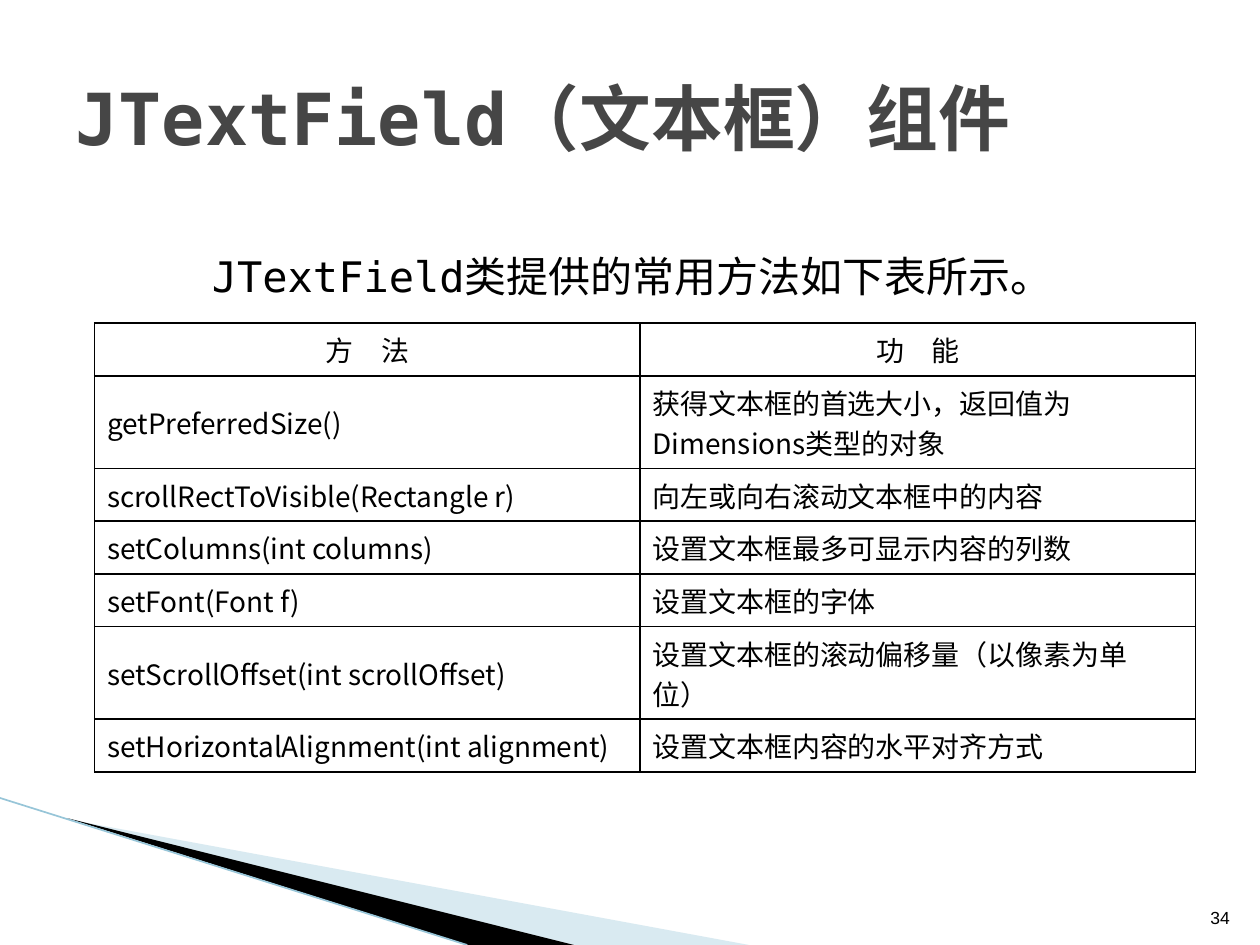
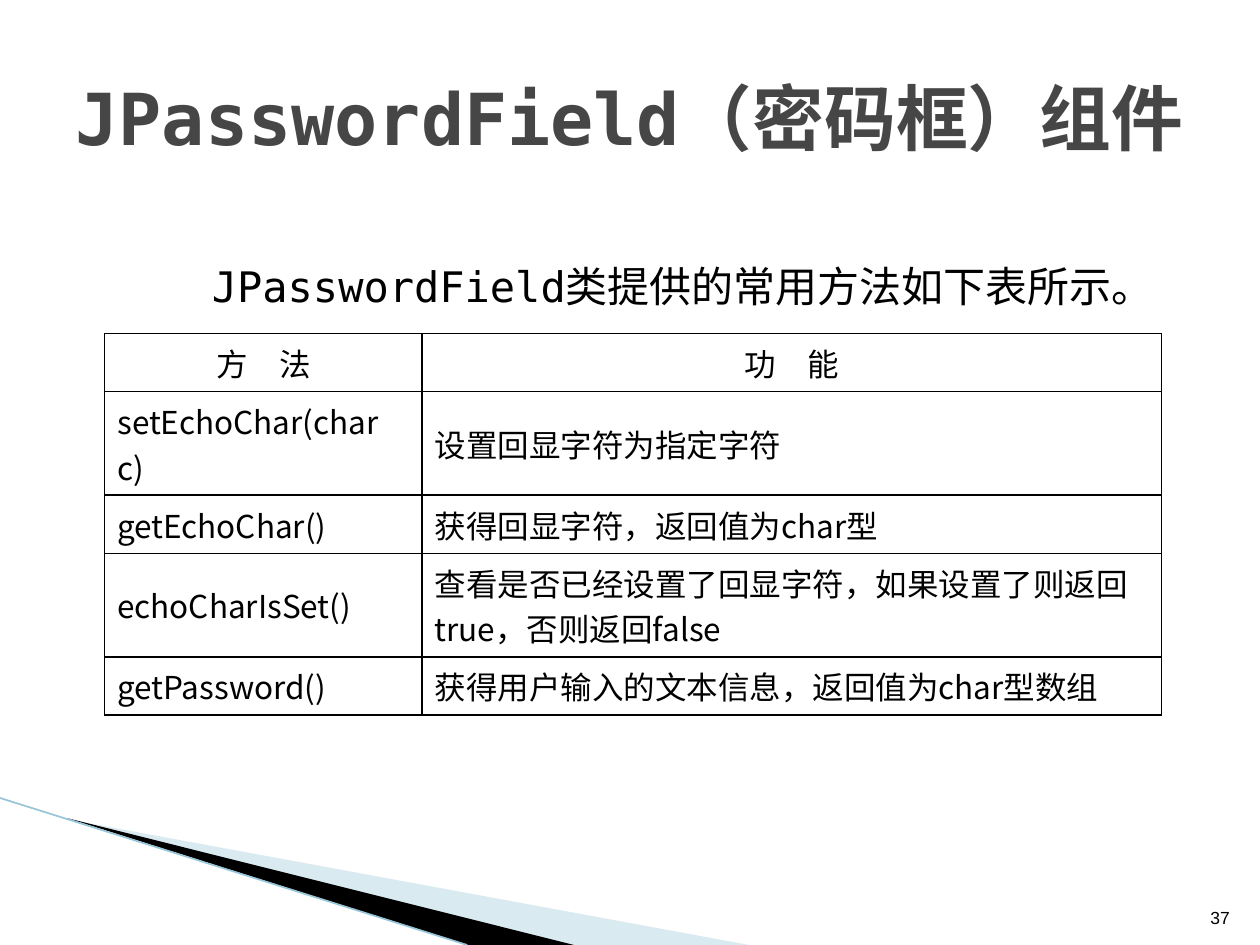
from dataclasses import dataclass

from lxml.etree import SubElement
from pptx import Presentation
from pptx.dml.color import RGBColor
from pptx.enum.shapes import MSO_CONNECTOR as Connector
from pptx.enum.text import MSO_ANCHOR as Anchor, MSO_AUTO_SIZE as AutoSize, PP_ALIGN as Align
from pptx.oxml.ns import qn
from pptx.util import Pt


@dataclass(frozen=True)
class Theme:
    ink: str = "000000"
    heading: str = "464646"
    pale_band: str = "A0CBDC"
    edge: str = "97C5D8"
    code_font: str = "DejaVu Sans Mono"
    table_font: str = "Noto Sans CJK SC"
    number_font: str = "Arial"
    title_size: float = 41
    intro_size: float = 24
    number_size: float = 10
    outer_rule: float = 0.75
    inner_rule: float = 1


THEME = Theme()
PAGE_SIZE = (720, 540)
TITLE_BOX = (36, 21.6, 648, 90)
NUMBER_BOX = (681, 504.8, 28.8, 28.8)
BAND_BOX = (0, 456, 428, 84)
HEADER = ("方　法", "功　能")

TEXT_FIELD = dict(
    title="JTextField（文本框）组件",
    intro="JTextField类提供的常用方法如下表所示。",
    intro_box=(54, 139.7, 640, 362.9),
    number="34",
    origin=(54, 184.7),
    widths=(311.8, 317.5),
    line_height=22.9,
    text_size=16,
    rows=[
        ("getPreferredSize()", "获得文本框的首选大小，返回值为Dimensions类型的对象", 2),
        ("scrollRectToVisible(Rectangle r)", "向左或向右滚动文本框中的内容", 1),
        ("setColumns(int columns)", "设置文本框最多可显示内容的列数", 1),
        ("setFont(Font f)", "设置文本框的字体", 1),
        ("setScrollOffset(int scrollOffset)", "设置文本框的滚动偏移量（以像素为单位）", 2),
        ("setHorizontalAlignment(int alignment)", "设置文本框内容的水平对齐方式", 1),
    ],
)

PASSWORD_FIELD = dict(
    title="JPasswordField（密码框）组件",
    intro="JPasswordField类提供的常用方法如下表所示。",
    intro_box=(54, 145.4, 640, 357.1),
    number="37",
    origin=(59.8, 190.6),
    widths=(181.4, 422.6),
    line_height=26,
    text_size=18,
    rows=[
        ("setEchoChar(char c)", "设置回显字符为指定字符", 2),
        ("getEchoChar()", "获得回显字符，返回值为char型", 1),
        ("echoCharIsSet()", "查看是否已经设置了回显字符，如果设置了则返回true，否则返回false", 2),
        ("getPassword()", "获得用户输入的文本信息，返回值为char型数组", 1),
    ],
)


def color(value):
    return RGBColor.from_string(value)


def write(frame, text, *, size, font, fill=THEME.ink, bold=False, align=Align.LEFT,
          anchor=Anchor.TOP, indent=0):
    frame.word_wrap = True
    frame.vertical_anchor = anchor
    para = frame.paragraphs[0]
    para.alignment = align
    if indent:
        properties = para._p.get_or_add_pPr()
        properties.set("marL", "0")
        properties.set("indent", str(Pt(indent)))
    span = para.add_run()
    span.text = text
    span.font.size = Pt(size)
    span.font.bold = bold
    span.font.color.rgb = color(fill)
    span.font.name = font
    SubElement(span._r.get_or_add_rPr(), qn("a:ea"), typeface=font)


def add_band(page, points, fill, opacity=None):
    corners = [(Pt(x), Pt(y)) for x, y in points]
    builder = page.shapes.build_freeform(*corners[0])
    builder.add_line_segments(corners[1:], close=True)
    band = builder.convert_to_shape()
    band.shadow.inherit = False
    band.line.fill.background()
    band.fill.solid()
    band.fill.fore_color.rgb = color(fill)
    if opacity:
        tint = band._element.spPr.find(qn("a:solidFill"))[0]
        SubElement(tint, qn("a:alpha"), val=str(opacity * 1000))


def add_corner_bands(page, box):
    left, top, width, height = box
    bottom = top + height
    add_band(page, [(left + 39.6, top + 12.4), (left + width, bottom), (left + 328, bottom)],
             THEME.pale_band, opacity=40)
    add_band(page, [(left + 38.2, top + 11.5), (left + 328, bottom), (left + 267.5, bottom)],
             THEME.ink)
    edge = page.shapes.add_connector(Connector.STRAIGHT, Pt(left), Pt(top),
                                     Pt(left + 267), Pt(bottom))
    edge.line.color.rgb = color(THEME.edge)
    edge.line.width = Pt(0.95)
    SubElement(edge._element.spPr, qn("a:effectLst"))


def add_title(page, box, text):
    title = page.shapes.title
    title.left, title.top, title.width, title.height = map(Pt, box)
    title.text_frame.auto_size = AutoSize.NONE
    write(title.text_frame, text, size=THEME.title_size, font=THEME.code_font,
          fill=THEME.heading, bold=True, anchor=Anchor.MIDDLE)


def add_text(page, box, text, **style):
    frame = page.shapes.add_textbox(*map(Pt, box)).text_frame
    write(frame, text, **style)


def add_borders(cell, widths):
    properties = cell._tc.get_or_add_tcPr()
    for side, width in zip("LRTB", widths):
        line = SubElement(properties, qn(f"a:ln{side}"), w=str(Pt(width)))
        fill = SubElement(line, qn("a:solidFill"))
        SubElement(fill, qn("a:srgbClr"), val=THEME.ink)


def add_method_table(page, origin, widths, rows, text_size, line_height):
    lines = [(*HEADER, 1), *rows]
    heights = [count * line_height + 7.2 for *_, count in lines]
    box = (*origin, sum(widths), sum(heights))
    table = page.shapes.add_table(len(lines), len(widths), *map(Pt, box)).table
    table.first_row = table.horz_banding = False
    for column, width in zip(table.columns, widths):
        column.width = Pt(width)
    last = len(widths) - 1
    for row_index, (*texts, _) in enumerate(lines):
        table.rows[row_index].height = Pt(heights[row_index])
        for column_index, text in enumerate(texts):
            cell = table.cell(row_index, column_index)
            left_rule = THEME.inner_rule if column_index else THEME.outer_rule
            right_rule = THEME.outer_rule if column_index == last else THEME.inner_rule
            add_borders(cell, (left_rule, right_rule, THEME.inner_rule, THEME.inner_rule))
            cell.fill.background()
            cell.vertical_anchor = Anchor.MIDDLE
            write(cell.text_frame, text, size=text_size, font=THEME.table_font,
                  align=Align.LEFT if row_index else Align.CENTER, anchor=Anchor.MIDDLE)


def add_method_page(deck, content):
    page = deck.slides.add_slide(deck.slide_layouts[5])
    add_corner_bands(page, BAND_BOX)
    add_text(page, content["intro_box"], content["intro"], size=THEME.intro_size,
             font=THEME.code_font, indent=60)
    add_title(page, TITLE_BOX, content["title"])
    add_method_table(page, content["origin"], content["widths"], content["rows"],
                     content["text_size"], content["line_height"])
    add_text(page, NUMBER_BOX, content["number"], size=THEME.number_size,
             font=THEME.number_font, align=Align.RIGHT, anchor=Anchor.BOTTOM)


def main():
    deck = Presentation()
    deck.slide_width, deck.slide_height = map(Pt, PAGE_SIZE)
    for content in (TEXT_FIELD, PASSWORD_FIELD):
        add_method_page(deck, content)
    deck.save("out.pptx")


if __name__ == "__main__":
    main()
